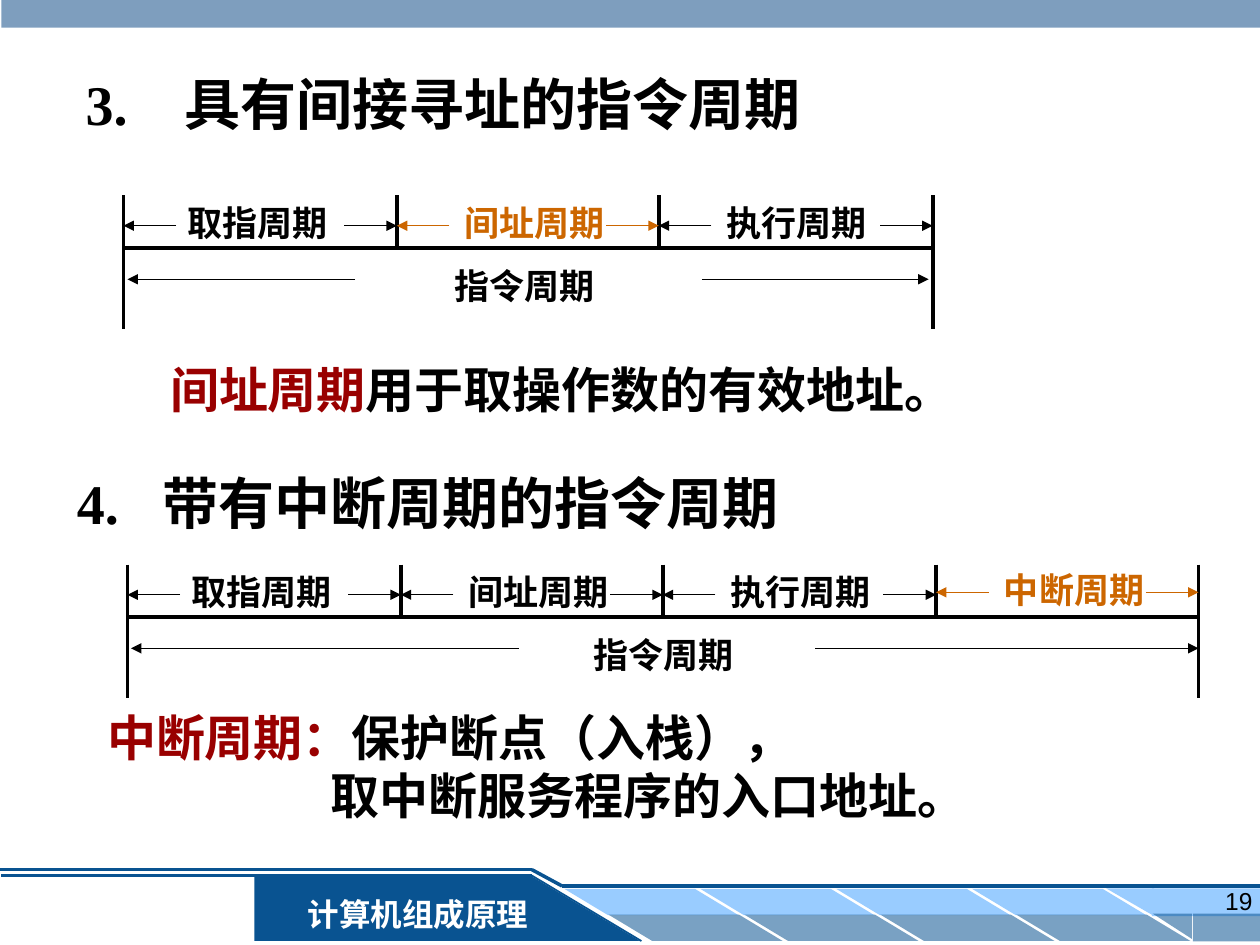
"""Build a slide on instruction cycles with indirect addressing and interrupts."""
from lxml import etree
from pptx import Presentation
from pptx.dml.color import RGBColor
from pptx.enum.shapes import MSO_CONNECTOR, MSO_SHAPE
from pptx.enum.text import MSO_ANCHOR, MSO_AUTO_SIZE, PP_ALIGN
from pptx.oxml.ns import qn
from pptx.util import Cm, Pt

RECT, SLANT, WEDGE = MSO_SHAPE.RECTANGLE, MSO_SHAPE.PARALLELOGRAM, MSO_SHAPE.RIGHT_TRIANGLE
STRAIGHT = MSO_CONNECTOR.STRAIGHT
TOP, MIDDLE = MSO_ANCHOR.TOP, MSO_ANCHOR.MIDDLE
LEFT, CENTER, RIGHT = PP_ALIGN.LEFT, PP_ALIGN.CENTER, PP_ALIGN.RIGHT
FIXED = MSO_AUTO_SIZE.NONE
BLACK, WHITE, NAVY, SKY = "000000", "FFFFFF", "095391", "99CCFF"
RED, AMBER = "990000", "CC6600"
SERIF, SANS = "Times New Roman", "Arial"
hue = RGBColor.from_string

deck = Presentation()
deck.slide_width, deck.slide_height = Cm(25.4), Cm(19.05)
slide = deck.slides.add_slide(deck.slide_layouts[5])
shapes = slide.shapes


def line(start, end, color, width, arrow=False):
    """Draw a straight line, with an arrowhead at its end if asked."""
    rule = shapes.add_connector(STRAIGHT, *map(Cm, start + end))
    rule.line.color.rgb = hue(color)
    rule.line.width = Pt(width)
    if arrow:
        etree.SubElement(rule.line._get_or_add_ln(), qn("a:tailEnd"), type="triangle")
    etree.SubElement(rule._element.spPr, qn("a:effectLst"))


def write(box, rows, size, align=LEFT, anchor=TOP, wrap=True, font=SERIF, tab=0, indent=0):
    """Fill a box with rows of coloured runs; later rows take the indent."""
    frame = box.text_frame
    frame.word_wrap, frame.auto_size = wrap, FIXED
    frame.vertical_anchor = anchor
    for i, row in enumerate(rows):
        para = frame.add_paragraph() if i else frame.paragraphs[0]
        para.alignment = align
        para.space_before = Pt(0)
        props = para._p.get_or_add_pPr()
        if tab:
            stops = etree.SubElement(props, qn("a:tabLst"))
            etree.SubElement(stops, qn("a:tab"), pos=str(Cm(tab)), algn="l")
        if i:
            props.set("marL", str(Cm(indent)))
        for text, color in row:
            run = para.add_run()
            run.text = text
            run.font.name, run.font.size = font, Pt(size)
            run.font.bold = font == SERIF
            run.font.color.rgb = hue(color)


parts = [(RECT, 5.13, 17.65, 5.59, 1.32, NAVY, 100, "")]
for i in range(4):
    left = 11.38 + 2.74 * i
    parts += [
        (SLANT, left, 17.92, 3.51, 0.53, SKY, 100, "H"),
        (SLANT, left + 0.89, 18.44, 3.51, 0.53, NAVY, 54, "H"),
    ]
parts += [
    (RECT, 23.22, 17.91, 2.18, 0.56, SKY, 100, ""),
    (WEDGE, 22.3, 17.91, 0.97, 0.56, SKY, 100, "HV"),
    (RECT, 24.05, 18.42, 1.37, 0.56, NAVY, 54, ""),
    (WEDGE, 23.24, 18.42, 0.79, 0.51, NAVY, 54, "HV"),
    (WEDGE, 10.69, 17.65, 2.21, 1.32, NAVY, 100, ""),
    (RECT, 0.03, -0.08, 25.4, 0.64, "336699", 63, ""),
    (RECT, 5.82, 17.91, 5.21, 1.02, NAVY, 100, ""),
]
for kind, left, top, width, height, color, alpha, flip in parts:
    part = shapes.add_shape(kind, Cm(left), Cm(top), Cm(width), Cm(height))
    part.shadow.inherit = False
    part.fill.solid()
    part.fill.fore_color.rgb = hue(color)
    part.line.fill.background()
    if kind == SLANT:
        part.adjustments[0] = 1.66
    if alpha < 100:
        tint = part._element.spPr.find(".//" + qn("a:srgbClr"))
        etree.SubElement(tint, qn("a:alpha"), val=str(alpha * 1000))
    for axis in flip:
        part._element.spPr.xfrm.set("flip" + axis, "1")
write(part, [[("计算机组成原理", WHITE)]], 18, CENTER, MIDDLE)

for start, end, width in [
    ((12.93, 18.97), (10.72, 17.65), 1),
    ((10.72, 17.65), (0.03, 17.65), 1.5),
    ((-0.03, 17.53), (10.72, 17.53), 2),
    ((10.72, 17.53), (11.33, 17.86), 2),
    ((11.33, 17.86), (25.43, 17.86), 2),
]:
    line(start, end, NAVY, width)

title = shapes.title
title.left, title.top, title.width, title.height = Cm(1.47), Cm(1.27), Cm(15.88), Cm(1.63)
write(title, [[("3.\t具有间接寻址的指令周期", BLACK)]], 32, tab=2)

for left, top, width, height, rows, size, style in [
    (1.3, 9.32, 15.88, 1.63, [[("4.\t带有中断周期的指令周期", BLACK)]], 32, {"tab": 1.72}),
    (3.18, 7.11, 16.51, 1.45,
     [[("间址周期", RED), ("用于取操作数的有效地址。", BLACK)]], 28,
     {"anchor": MIDDLE, "wrap": False}),
    (1.91, 14.12, 20.19, 2.64,
     [[("中断周期：", RED), ("保护断点（入栈），", BLACK)],
      [("取中断服务程序的入口地址。", BLACK)]], 28,
     {"anchor": MIDDLE, "indent": 4.5}),
    (19.58, 17.73, 5.92, 1.32, [[("19", BLACK)]], 14, {"align": RIGHT, "font": SANS}),
]:
    box = shapes.add_textbox(Cm(left), Cm(top), Cm(width), Cm(height))
    write(box, rows, size, **style)

names = ["取指周期", "间址周期", "执行周期", "中断周期"]
for top, marks, accent, whole, inner, outer in [
    (3.94, [2.49, 8, 13.28, 18.8], "间址周期", 8.92, (7.16, 14.15), (2.57, 18.72)),
    (11.38, [2.57, 8.08, 13.36, 18.87, 24.16], "中断周期", 11.71, (10.46, 16.43), (2.64, 24.16)),
]:
    base = top + 1.06
    line((marks[0], base), (marks[-1], base), BLACK, 2.25)
    for mark in marks:
        foot = top + 2.7 if mark in (marks[0], marks[-1]) else base
        line((mark, top), (mark, foot), BLACK, 2.25)
    labels = [("指令周期", whole, top + 1.26, BLACK)]
    for name, left, right in zip(names, marks, marks[1:]):
        color = AMBER if name == accent else BLACK
        lift = 0.05 if name == names[3] else 0
        shift = 1.04 if name == names[0] else 1.12
        level = top + 0.61 - lift
        line((left + 1.06, level), (left, level), color, 0.75, True)
        line((right - 1.06, level), (right, level), color, 0.75, True)
        labels.append((name, left + shift, top - lift, color))
    for start, end in zip(inner, outer):
        line((start, top + 1.69), (end, top + 1.69), BLACK, 0.75, True)
    for name, left, height, color in labels:
        box = shapes.add_textbox(Cm(left), Cm(height), Cm(3.33), Cm(1.12))
        write(box, [[(name, color)]], 20, wrap=False)

deck.save("out.pptx")
